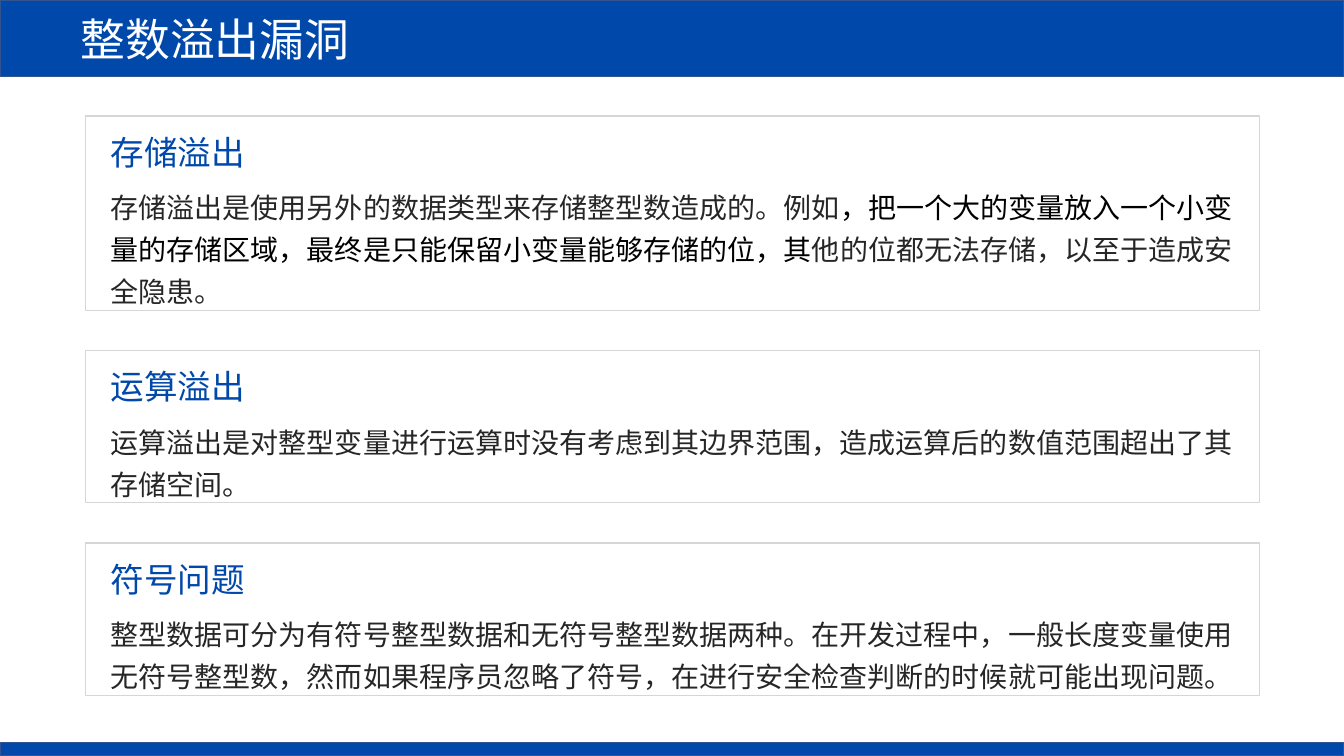
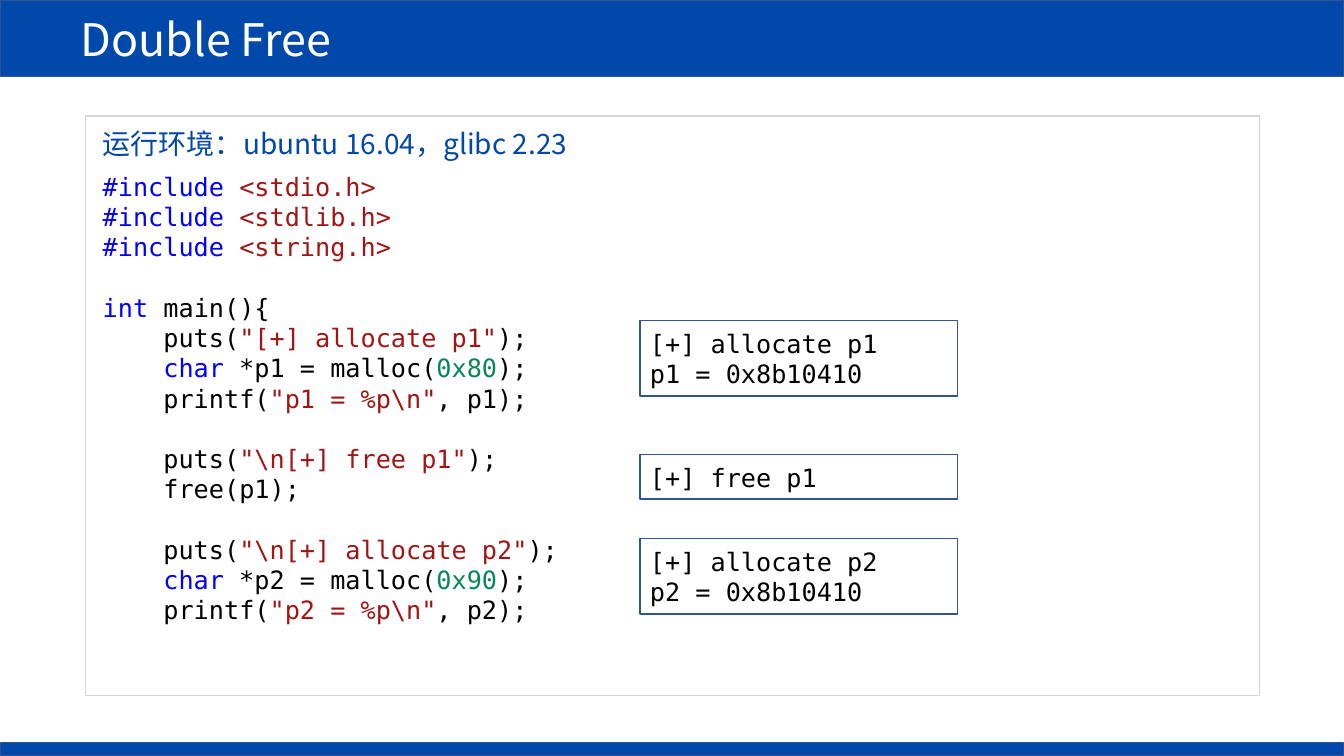
from lxml import etree
from pptx import Presentation
from pptx import util as u
from pptx.dml.color import RGBColor
from pptx.enum import shapes, text
from pptx.oxml.ns import qn

COLORS = {
    "brand": "0048AA", "edge": "325491", "panel": "D6D6D6", "white": "FFFFFF",
    "body": "262626", "plain": "000000", "keyword": "0000FF",
    "string": "A31515", "number": "098658",
}
SANS, MONO = "Noto Sans CJK SC", "DejaVu Sans Mono"
WIDTH, HEIGHT = 33.87, 19.05
BAND, FOOTER = 1.93, 0.34
LEFT, TOP, INNER, GAP = 2.16, 2.92, 29.59, 1.01
CODE_LINE = 21.6

CARDS = [
    ("存储溢出", 4.9, [
        ("body", "存储溢出是使用另外的数据类型来存储整型数造成的。例如"),
        ("plain", "，把一个大的变量放入一个小变量的存储区域，最终是只能保留小变量能够存储的位，其"),
        ("body", "他的位都无法存储，以至于造成安全隐患。")]),
    ("运算溢出", 3.84, [
        ("body", "运算溢出是对整型变量进行运算时没有考虑到其边界范围，造成运算后的数值范围超出了其存储空间。")]),
    ("符号问题", 3.84, [
        ("body", "整型数据可分为有符号整型数据和无符号整型数据两种。在开发过程中，一般长度变量使用"
                 "无符号整型数，然而如果程序员忽略了符号，在进行安全检查判断的时候就可能出现问题。")]),
]
OUTPUTS = [
    (8.08, 1.9, ["[+] allocate p1", "p1 = 0x8b10410"]),
    (11.46, 1.12, ["[+] free p1"]),
    (13.57, 1.9, ["[+] allocate p2", "p2 = 0x8b10410"]),
]


def add_span(para, content, color, size, font):
    """Add one coloured run, with the same font for Latin and Chinese text."""
    span = para.add_run()
    span.text = content
    span.font.size = u.Pt(size)
    span.font.name = font
    span.font.color.rgb = RGBColor.from_string(COLORS[color])
    etree.SubElement(span.font._element, qn("a:ea")).set("typeface", font)


def write(box, lines, size, font, spacing=None, gaps=()):
    """Fill a box with lines of (color, text) spans; gaps lists lines that follow a blank."""
    frame = box.text_frame
    frame.word_wrap = True
    for index, line in enumerate(lines):
        para = frame.paragraphs[0] if index == 0 else frame.add_paragraph()
        para.alignment = text.PP_ALIGN.LEFT
        if spacing:
            para.line_spacing = spacing
        if index in gaps:
            para.space_before = u.Pt(CODE_LINE)
        for color, content in line:
            add_span(para, content, color, size, font)


def add_rectangle(parent, left, top, width, height, line, fill=None):
    """Add a flat outlined rectangle."""
    box = parent.add_shape(shapes.MSO_SHAPE.RECTANGLE,
                           u.Cm(left), u.Cm(top), u.Cm(width), u.Cm(height))
    box.shadow.inherit = False
    box.line.color.rgb = RGBColor.from_string(COLORS[line])
    box.line.width = u.Pt(1)
    if fill:
        box.fill.solid()
        box.fill.fore_color.rgb = RGBColor.from_string(COLORS[fill])
    else:
        box.fill.background()
    return box


def add_text(parent, left, top, width, height, lines, size, font, **layout):
    """Add a text box holding the given lines."""
    box = parent.add_textbox(u.Cm(left), u.Cm(top), u.Cm(width), u.Cm(height))
    write(box, lines, size, font, **layout)


def add_page(deck, title):
    """Add a blank page with the title band and the footer bar."""
    page = deck.slides.add_slide(deck.slide_layouts[6])
    band = add_rectangle(page.shapes, 0, 0, WIDTH, BAND, "edge", "brand")
    band.text_frame.margin_left = u.Cm(2.03)
    band.text_frame.vertical_anchor = text.MSO_ANCHOR.MIDDLE
    write(band, [[("white", title)]], 32, SANS)
    add_rectangle(page.shapes, 0, HEIGHT - FOOTER, WIDTH, FOOTER, "edge", "brand")
    return page


def add_card(page, left, top, width, height, heading, body):
    """Add a grouped panel with a heading above its body text."""
    parts = page.shapes.add_group_shape().shapes
    indent, body_top = 0.38, 1.55
    inner = width - 2 * indent
    add_rectangle(parts, left, top, width, height, "panel")
    add_text(parts, left + indent, top + 0.27, inner, 1.28,
             [[("brand", heading)]], 24, SANS)
    add_text(parts, left + indent, top + body_top, inner, height - body_top,
             [body], 20, SANS, spacing=1.25)


def include(header):
    """Return the spans of an include line."""
    return [("keyword", "#include "), ("string", f"<{header}>")]


def call_puts(message):
    """Return the spans of a puts call."""
    return [("plain", "    puts("), ("string", f'"{message}"'), ("plain", ");")]


def allocate(name, size, lead=""):
    """Return the lines that allocate a pointer and print it."""
    return [
        call_puts(f"{lead}[+] allocate {name}"),
        [("keyword", "    char"), ("plain", f" *{name} = malloc("),
         ("number", size), ("plain", ");")],
        [("plain", "    printf("), ("string", f'"{name} = %p\\n"'),
         ("plain", f", {name});")],
    ]


def add_listing(page, left, top, width, height):
    """Add the panel with the environment line, the code and its outputs."""
    add_rectangle(page.shapes, left, top, width, height, "panel")
    text_left = left + 0.18
    add_text(page.shapes, text_left, top + 0.15, 13.79, 1.12,
             [[("brand", "运行环境：ubuntu 16.04，glibc 2.23")]], 20, SANS)
    code = [include(header) for header in ("stdio.h", "stdlib.h", "string.h")]
    code.append([("keyword", "int"), ("plain", " main(){")])
    code += allocate("p1", "0x80")
    code += [call_puts("\\n[+] free p1"), [("plain", "    free(p1);")]]
    code += allocate("p2", "0x90", "\\n")
    add_text(page.shapes, text_left, top + 1.27, 12.19, 11.79,
             code, 18, MONO, gaps=(3, 7, 9))
    for output_top, output_height, lines in OUTPUTS:
        box = add_rectangle(page.shapes, left + 13.97, output_top, 8, output_height, "edge")
        box.text_frame.vertical_anchor = text.MSO_ANCHOR.MIDDLE
        write(box, [[("plain", line)] for line in lines], 18, MONO)


def main():
    """Build and save the deck."""
    deck = Presentation()
    deck.slide_width, deck.slide_height = u.Cm(WIDTH), u.Cm(HEIGHT)
    page = add_page(deck, "整数溢出漏洞")
    top = TOP
    for heading, height, body in CARDS:
        add_card(page, LEFT, top, INNER, height, heading, body)
        top += height + GAP
    add_listing(add_page(deck, "Double Free"), LEFT, TOP, INNER, 14.61)
    deck.save("out.pptx")


if __name__ == "__main__":
    main()
